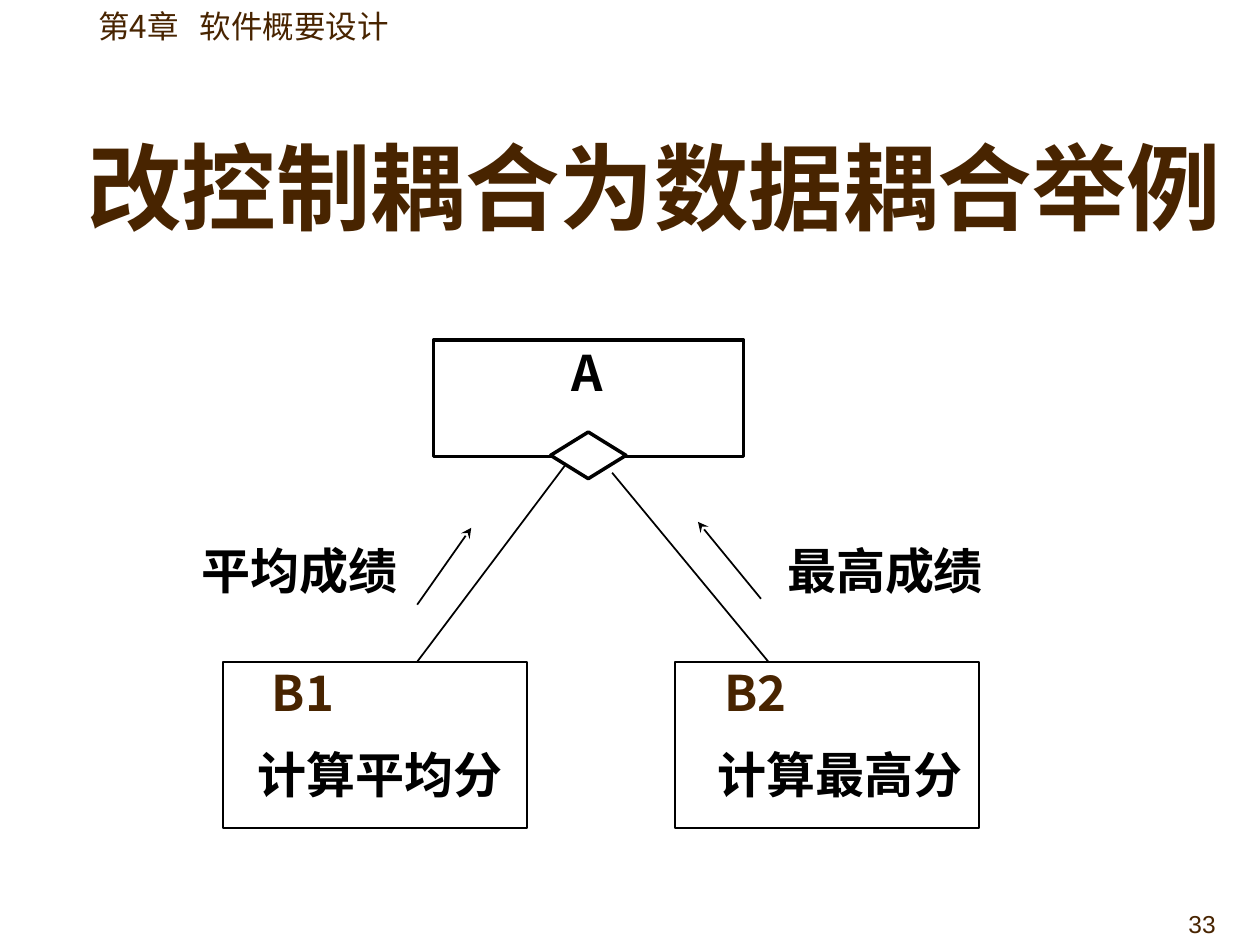
from lxml.etree import SubElement
from pptx import Presentation
from pptx.dml.color import RGBColor
from pptx.enum.shapes import MSO_CONNECTOR, MSO_SHAPE
from pptx.enum.text import MSO_ANCHOR, MSO_AUTO_SIZE, PP_ALIGN
from pptx.oxml.ns import qn
from pptx.util import Cm, Pt

BROWN = RGBColor(0x48, 0x24, 0x00)
BLACK = RGBColor(0, 0, 0)
WHITE = RGBColor(255, 255, 255)
CJK = "Noto Sans CJK SC"


class SlideBuilder:
    """Holds the style and the current slide."""

    label = {"size": Pt(28), "bold": True, "name": CJK}

    def __init__(self, slide):
        self.s = slide

    def add_text(self, p, text, color, **fmt):
        r = p.add_run()
        r.text = text
        for key, value in fmt.items():
            setattr(r.font, key, value)
        r.font.color.rgb = color
        SubElement(r._r.get_or_add_rPr(), qn("a:ea")).set("typeface", CJK)

    def title(self, text, x, y, w, h):
        sp = self.s.shapes.title
        sp.left, sp.top, sp.width, sp.height = Cm(x), Cm(y), Cm(w), Cm(h)
        tf = sp.text_frame
        tf.auto_size = MSO_AUTO_SIZE.NONE
        tf.vertical_anchor = MSO_ANCHOR.MIDDLE
        p = tf.paragraphs[0]
        p.alignment = PP_ALIGN.LEFT
        self.add_text(p, text, BROWN, size=Pt(54), bold=True, name=CJK)

    def frame(self, x, y, w, h, wrap=True, **fmt):
        tf = self.s.shapes.add_textbox(Cm(x), Cm(y), Cm(w), Cm(h)).text_frame
        settings = {"word_wrap": wrap, "auto_size": MSO_AUTO_SIZE.SHAPE_TO_FIT_TEXT, **fmt}
        for key, value in settings.items():
            setattr(tf, key, value)
        return tf.paragraphs[0]

    def text(self, text, x, y, w, color=BLACK, wrap=True):
        self.add_text(self.frame(x, y, w, 1.45, wrap), text, color, **self.label)

    def shape(self, kind, x, y, w, h, weight=1):
        sp = self.s.shapes.add_shape(kind, Cm(x), Cm(y), Cm(w), Cm(h))
        sp.shadow.inherit = False
        sp.fill.solid()
        sp.fill.fore_color.rgb = WHITE
        sp.line.color.rgb = BLACK
        sp.line.width = Pt(weight)

    def line(self, x1, y1, x2, y2, arrow=False):
        c = self.s.shapes.add_connector(MSO_CONNECTOR.STRAIGHT, Cm(x1), Cm(y1), Cm(x2), Cm(y2))
        c.line.color.rgb = BLACK
        c.line.width = Pt(1)
        if arrow:
            SubElement(c.get_or_add_ln(), qn("a:tailEnd")).set("type", "stealth")
        SubElement(c._element.spPr, qn("a:effectLst"))


def main():
    prs = Presentation()
    prs.slide_width, prs.slide_height = Cm(25.4), Cm(19.05)
    s = SlideBuilder(prs.slides.add_slide(prs.slide_layouts[5]))

    # Chapter heading and title
    p = s.frame(1.73, 0, 6.71, 1.02, False, vertical_anchor=MSO_ANCHOR.BOTTOM)
    s.add_text(p, "第4章   ", BROWN, size=Pt(18), name=CJK)
    s.add_text(p, "软件概要设计", BROWN, size=Pt(18), name="Times New Roman")
    s.title("改控制耦合为数据耦合举例", 1.5, 2.34, 23.9, 2.79)

    # Calling module A with its decision diamond
    s.shape(MSO_SHAPE.RECTANGLE, 8.74, 6.86, 6.25, 2.34, 2)
    s.text("A", 11.28, 6.78, 1.19, wrap=False)
    s.shape(MSO_SHAPE.DIAMOND, 11.1, 8.71, 1.52, 0.94, 2)

    # Called modules: name, left edge, name x, task, task x and width
    modules = [
        ("B1", 4.5, 5.23, "计算平均分", 4.95, 5.82),
        ("B2", 13.61, 14.35, "计算最高分", 14.22, 5.54),
    ]
    for name, x, name_x, task, task_x, task_w in modules:
        s.shape(MSO_SHAPE.RECTANGLE, x, 13.34, 6.12, 3.35)
        s.text(task, task_x, 14.88, task_w)
        s.text(name, name_x, 13.23, 2.08, BROWN)

    # Calls
    s.line(11.4, 9.37, 8.41, 13.34)
    s.line(12.34, 9.53, 15.49, 13.34)

    # Data passed back to A
    s.text("平均成绩", 3.81, 10.77, 4.47, wrap=False)
    s.line(8.41, 12.19, 9.5, 10.64, arrow=True)
    s.text("最高成绩", 15.62, 10.77, 5.38)
    s.line(15.34, 12.07, 14.07, 10.52, arrow=True)

    # Page number
    p = s.frame(19.48, 17.78, 5.28, 1.27, auto_size=MSO_AUTO_SIZE.NONE,
                vertical_anchor=MSO_ANCHOR.BOTTOM)
    p.alignment = PP_ALIGN.RIGHT
    s.add_text(p, "33", BROWN, size=Pt(14), name="Arial")

    prs.save("out.pptx")


if __name__ == "__main__":
    main()
